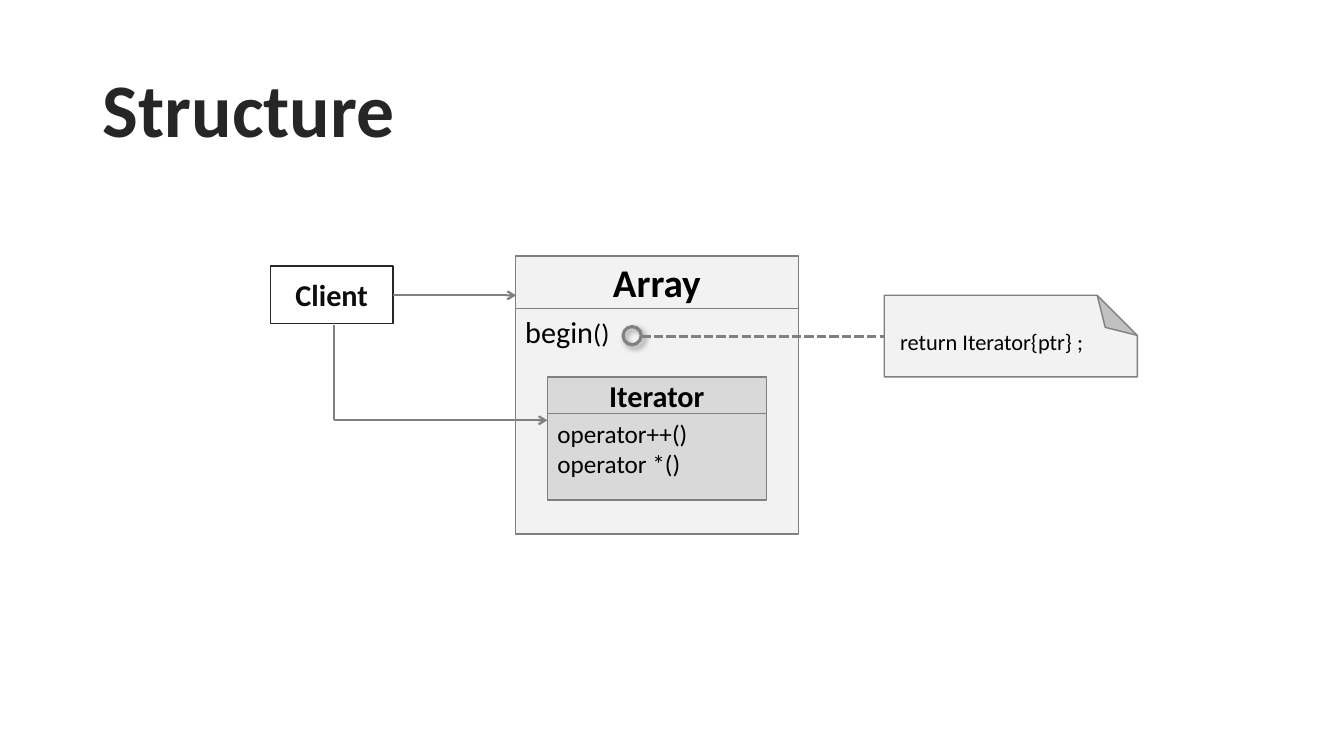
from pptx import Presentation
from pptx.dml.color import RGBColor
from pptx.enum import dml, shapes, text
from pptx.oxml import ns, xmlchemy
from pptx.util import Inches, Pt

FONT = "Calibri"
BLACK = RGBColor(0x00, 0x00, 0x00)
INK = RGBColor(0x0D, 0x0D, 0x0D)
DARK = RGBColor(0x26, 0x26, 0x26)
GRAY = RGBColor(0x80, 0x80, 0x80)
PALE = RGBColor(0xF2, 0xF2, 0xF2)
SILVER = RGBColor(0xD9, 0xD9, 0xD9)

LEFT, CENTER = text.PP_ALIGN.LEFT, text.PP_ALIGN.CENTER
TOP, MIDDLE = text.MSO_ANCHOR.TOP, text.MSO_ANCHOR.MIDDLE


def set_font(para, size, color=BLACK, bold=False):
    font = para.font
    font.name, font.size, font.bold = FONT, Pt(size), bold
    font.color.rgb = color


def add_element(parent, tag, **attributes):
    child = xmlchemy.OxmlElement(tag)
    for name, value in attributes.items():
        child.set(name, str(value))
    parent.append(child)
    return child


def add_title(page, words):
    title = page.shapes.title
    title.left, title.top = Inches(0.92), Inches(0.4)
    title.width, title.height = Inches(11.5), Inches(1.45)
    title.text_frame.text = words
    title.text_frame.vertical_anchor = MIDDLE
    para = title.text_frame.paragraphs[0]
    para.alignment = LEFT
    para.line_spacing = 0.9
    set_font(para, 54, DARK, bold=True)


def add_outline(page, kind, left, top, width, height, fill=None, line=GRAY, weight=1):
    shape = page.shapes.add_shape(
        kind, Inches(left), Inches(top), Inches(width), Inches(height))
    shape.shadow.inherit = False
    if fill is None:
        shape.fill.background()
    else:
        shape.fill.solid()
        shape.fill.fore_color.rgb = fill
    shape.line.color.rgb = line
    shape.line.width = Pt(weight)
    return shape


def add_box(page, place, lines, size, fill=None, line=GRAY, color=BLACK, heading=False):
    """Headings are bold and centred; other boxes list members from the top left."""
    box = add_outline(page, shapes.MSO_SHAPE.RECTANGLE, *place, fill, line)
    frame = box.text_frame
    frame.vertical_anchor = MIDDLE if heading else TOP
    frame.text = "\n".join(lines)
    for para in frame.paragraphs:
        para.alignment = CENTER if heading else LEFT
        set_font(para, size, color, heading)
    return box


def add_class(page, left, top, width, head_height, body_height, name, members,
              name_size, member_size, fill):
    add_box(page, (left, top, width, head_height), [name], name_size, fill, heading=True)
    return add_box(page, (left, top + head_height, width, body_height),
                   members, member_size, fill)


def add_line(page, start, end, weight=1.5, arrow=False, dash=None):
    line = page.shapes.add_connector(
        shapes.MSO_CONNECTOR.STRAIGHT, *map(Inches, start + end))
    line.line.color.rgb = GRAY
    line.line.width = Pt(weight)
    if dash:
        line.line.dash_style = dash
    properties = line._element.spPr
    if arrow:
        add_element(properties.find(ns.qn("a:ln")), "a:tailEnd", type="arrow")
    add_element(properties, "a:effectLst")


def add_ring(page, left, top, size):
    ring = add_outline(page, shapes.MSO_SHAPE.OVAL, left, top, size, size, weight=2.25)
    effects = ring._element.spPr.find(ns.qn("a:effectLst"))
    shadow = add_element(effects, "a:outerShdw", blurRad=Pt(4), dist=Pt(3),
                         dir=45 * 60000, algn="tl", rotWithShape=0)
    shade = add_element(shadow, "a:srgbClr", val=BLACK)
    add_element(shade, "a:alpha", val=40000)


def add_note(page, words):
    # Sheet with its corner folded at the top right
    sheet = add_outline(page, shapes.MSO_SHAPE.FOLDED_CORNER, 8.77, 2.93, 2.51, 0.81, PALE)
    properties = sheet._element.spPr
    properties.find(ns.qn("a:xfrm")).set("flipV", "1")
    geometry = properties.find(ns.qn("a:prstGeom"))
    add_element(geometry.find(ns.qn("a:avLst")), "a:gd", name="adj", fmla="val 49100")

    box = page.shapes.add_textbox(Inches(8.83), Inches(3.32), Inches(2.45), Inches(0.26))
    frame = box.text_frame
    frame.word_wrap = True
    frame.auto_size = text.MSO_AUTO_SIZE.SHAPE_TO_FIT_TEXT
    frame.text = words
    para = frame.paragraphs[0]
    para.line_spacing = 0.5
    para.space_before = Pt(7.2)
    set_font(para, 16)


def main():
    deck = Presentation()
    deck.slide_width, deck.slide_height = Inches(13.33), Inches(7.5)
    page = deck.slides.add_slide(deck.slide_layouts[5])
    add_title(page, "Structure")

    # Array class, with smaller parentheses after its member
    array = add_class(page, 5.11, 2.54, 2.81, 0.52, 2.24,
                      "Array", ["begin"], 28, 21.6, PALE)
    span = array.text_frame.paragraphs[0].add_run()
    span.text = "()"
    span.font.size = Pt(19.2)

    # Client and its arrow to Array
    add_box(page, (2.68, 2.64, 1.22, 0.57), ["Client"], 21.6,
            line=DARK, color=INK, heading=True)
    add_line(page, (3.9, 2.93), (5.12, 2.93), arrow=True)

    # Note on begin()
    add_ring(page, 6.18, 3.24, 0.18)
    add_line(page, (6.36, 3.34), (8.77, 3.34), 2.25, dash=dml.MSO_LINE.SQUARE_DOT)
    add_note(page, "return Iterator{ptr} ;")

    # Nested Iterator class and the bent route from Client
    add_class(page, 5.43, 3.74, 2.17, 0.36, 0.86,
              "Iterator", ["operator++()", "operator *()"], 21.6, 18, SILVER)
    add_line(page, (3.31, 3.22), (3.31, 4.17))
    add_line(page, (3.31, 4.17), (5.43, 4.17), arrow=True)

    deck.save("out.pptx")


if __name__ == "__main__":
    main()
